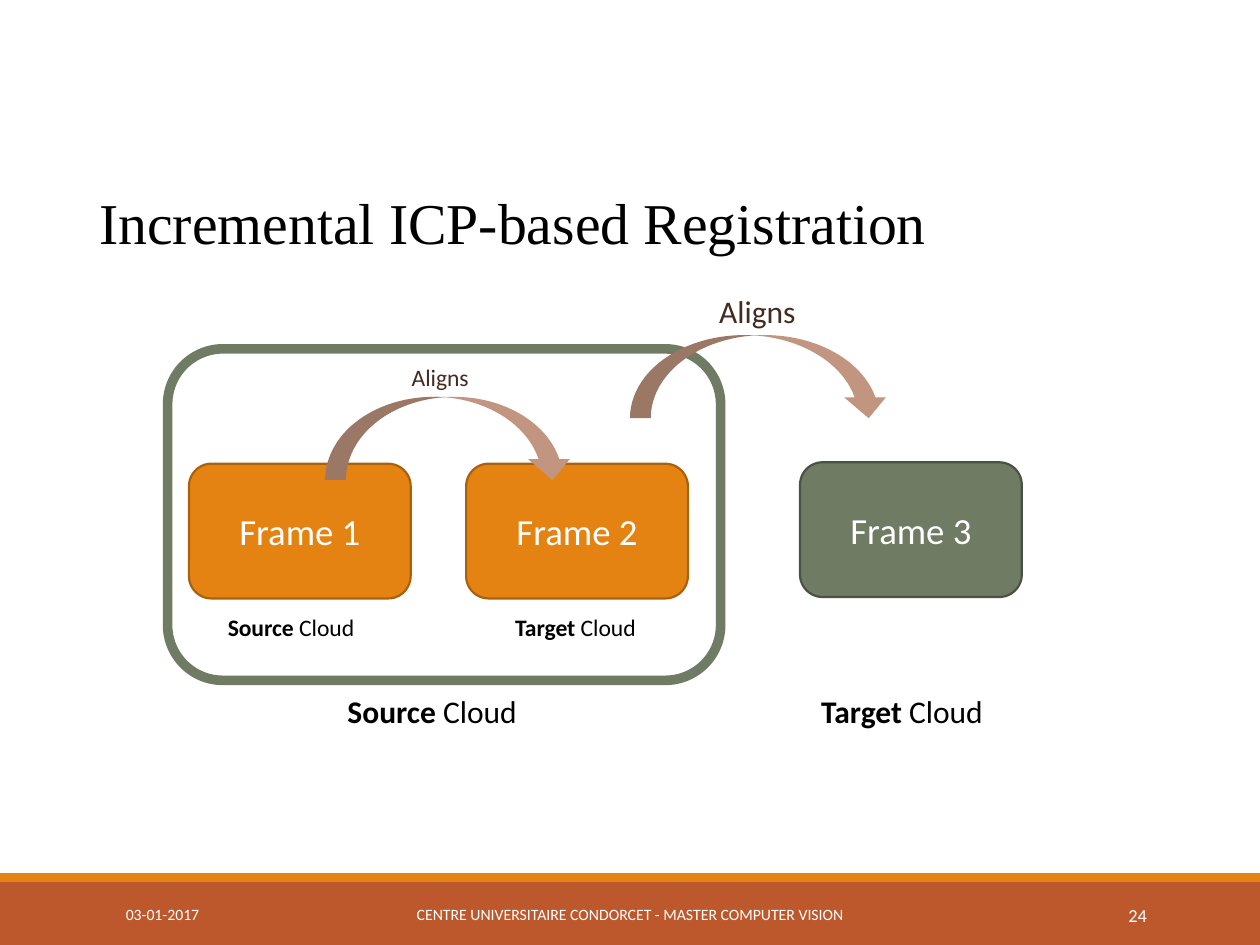
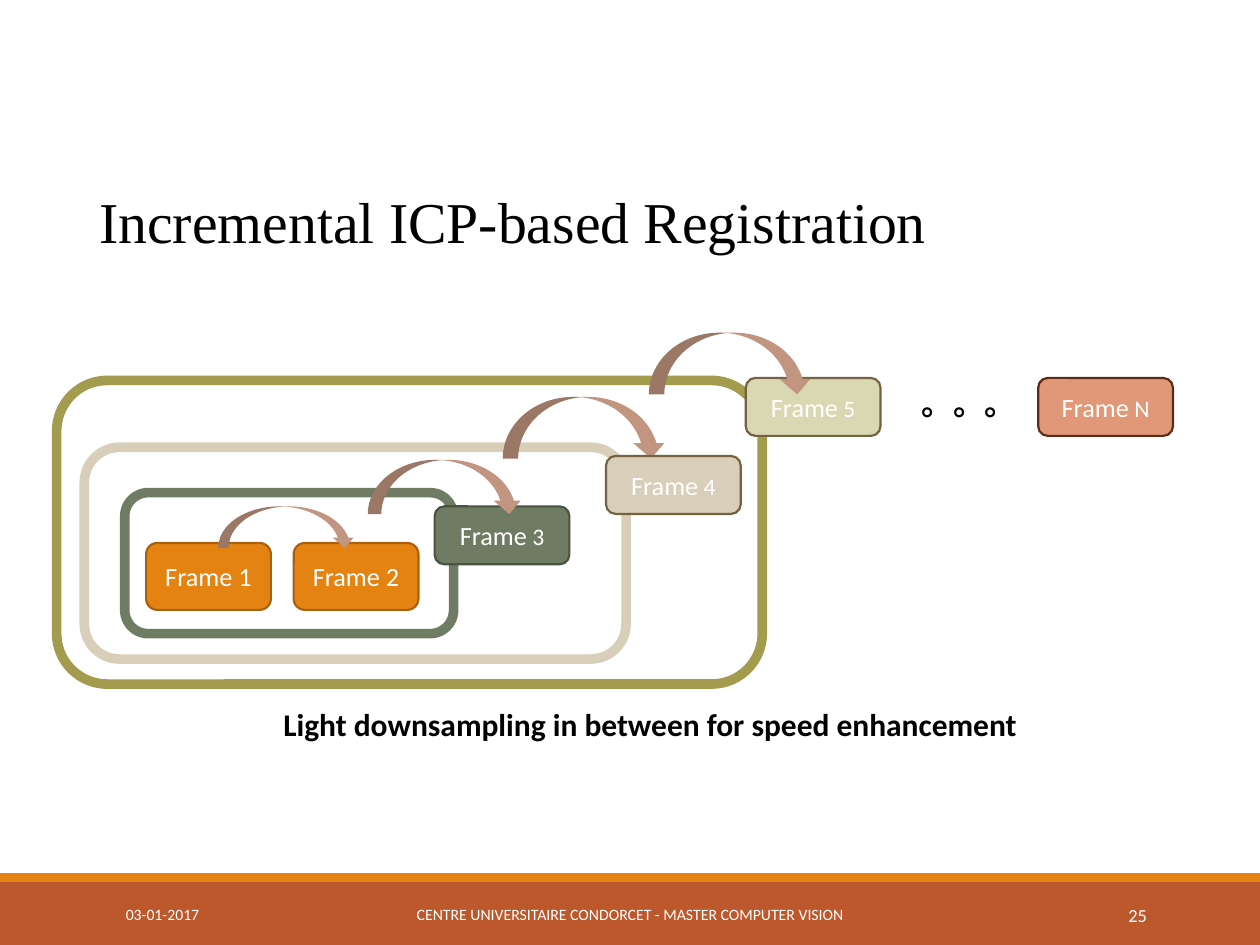
from pptx import Presentation
from pptx import util as u
from pptx.dml.color import RGBColor
from pptx.enum import shapes, text

# Content: all boxes are (left, top, width, height) in points
TITLE = "Incremental ICP-based Registration"
DATE = "03-01-2017"
VENUE = "CENTRE UNIVERSITAIRE CONDORCET - MASTER COMPUTER VISION"

BIG, SMALL, STEP = (126.7, 77), (71.3, 38.2), (77, 33.1)  # frame sizes

# Parts run from back to front:
# ("frame", size, (left, top), colours, [(words, size name), ...])
# ("ring", box, colour)   ("arrow", box)
# ("label", box, size name, colour, [(words, bold), ...])
SLIDES = [
    {
        "number": 24,
        "title_top": 90,
        "parts": [
            ("frame", BIG, (108, 265), "orange", [("Frame 1", "frame")]),
            ("ring", (95.8, 199.4, 316, 189.4), "green"),
            ("label", (123.1, 347, 97.9, 23.8), "note", "ink",
             [("Source", True), (" Cloud", False)]),
            ("label", (287.3, 347, 97.9, 23.8), "note", "ink",
             [("Target", True), (" Cloud", False)]),
            ("frame", BIG, (457.2, 264.2), "green", [("Frame 3", "frame")]),
            ("label", (191.5, 391.7, 129.6, 28.8), "caption", "ink",
             [("Source", True), (" Cloud", False)]),
            ("label", (462.2, 391.7, 135.4, 28.8), "caption", "ink",
             [("Target", True), (" Cloud", False)]),
            ("frame", BIG, (266.4, 265), "orange", [("Frame 2", "frame")]),
            ("arrow", (185.8, 226.8, 141.8, 47.5)),
            ("arrow", (360, 191.5, 148.3, 47.5)),
            ("label", (228.2, 203.8, 97.9, 23.8), "note", "brown",
             [("Aligns", False)]),
            ("label", (403.9, 163.4, 97.9, 28.8), "caption", "brown",
             [("Aligns", False)]),
        ],
    },
    {
        "number": 25,
        "title_top": 89.3,
        "parts": [
            ("frame", SMALL, (83.5, 310.3), "orange", [("Frame 1", "step")]),
            ("ring", (71.3, 281.5, 187.9, 80.6), "green"),
            ("frame", STEP, (248.4, 289.4), "green",
             [("Frame", "step"), (" 3", "note")]),
            ("label", (519.8, 216, 64, 28.8), "caption", "ink",
             [("。。。", True)]),
            ("frame", SMALL, (167.8, 310.3), "orange", [("Frame 2", "step")]),
            ("arrow", (124.6, 289.4, 78.5, 23.8)),
            ("arrow", (210.2, 262.8, 88.6, 31)),
            ("ring", (48.2, 255.6, 309.6, 121), "sand"),
            ("arrow", (287.3, 226.8, 93.6, 35.3)),
            ("frame", STEP, (346.3, 260.6), "sand",
             [("Frame", "step"), (" 4", "note")]),
            ("ring", (32.4, 217.4, 403.2, 173.5), "olive"),
            ("frame", STEP, (426.2, 216), "lime",
             [("Frame", "step"), (" 5", "note")]),
            ("arrow", (370.8, 190.1, 93.6, 35.3)),
            ("frame", STEP, (593.3, 216), "salmon",
             [("Frame", "step"), (" N", "note")]),
            ("label", (154.8, 399.6, 454.3, 28.8), "caption", "ink",
             [("Light downsampling in between for speed enhancement", True)]),
        ],
    },
]

THEME = {
    "fonts": {"title": "Times New Roman", "body": "Calibri"},
    "sizes": {"title": 33, "frame": 21, "caption": 18, "step": 15,
              "note": 13.5, "page": 10.5, "footer": 9},
    "colours": {"ink": "000000", "white": "FFFFFF", "brown": "432B20",
                "rust": "BD582C", "orange": "E48312", "green": "6F7B63",
                "sand": "D8CEBA", "olive": "A39B4E", "lime": "DAD7B3",
                "salmon": "E09878", "arrow": "C29580"},
    "edges": {"orange": "A9610D", "green": "4A5242", "sand": "746241",
              "lime": "746241", "salmon": "5E2C16"},
    "lines": {"frame": 1.25, "ring": 5.5},
}

MIDDLE = text.MSO_ANCHOR.MIDDLE
LEFT, CENTER, RIGHT = (text.PP_ALIGN.LEFT, text.PP_ALIGN.CENTER,
                       text.PP_ALIGN.RIGHT)


def apply(target, values):
    for name, value in values.items():
        setattr(target, name, value)


def colour(name):
    return RGBColor.from_string(THEME["colours"][name])


def points(box):
    return [u.Pt(length) for length in box]


def write(frame, runs, ink, align=LEFT, face="body", **frame_format):
    """Fill a text frame with runs of (words, size name, bold)."""
    apply(frame, {"word_wrap": True, **frame_format})
    paragraph = frame.paragraphs[0]
    paragraph.alignment = align
    for words, size, bold in runs:
        run = paragraph.add_run()
        run.text = words
        apply(run.font, {"name": THEME["fonts"][face], "bold": bold,
                         "size": u.Pt(THEME["sizes"][size])})
        run.font.color.rgb = colour(ink)
    return paragraph


def add_words(slide, box, runs, ink, **options):
    frame = slide.shapes.add_textbox(*points(box)).text_frame
    return write(frame, runs, ink, **options)


def add_outline(slide, preset, box, fill=None, edge=None, width=0):
    """Draw a preset shape; edge is an RRGGBB value."""
    part = slide.shapes.add_shape(preset, *points(box))
    part.shadow.inherit = False
    if fill:
        part.fill.solid()
        part.fill.fore_color.rgb = colour(fill)
    else:
        part.fill.background()
    if edge:
        part.line.color.rgb = RGBColor.from_string(edge)
        part.line.width = u.Pt(width)
    else:
        part.line.fill.background()
    return part


# Diagram parts
def add_frame(slide, size, corner, fill, runs):
    part = add_outline(slide, shapes.MSO_SHAPE.ROUNDED_RECTANGLE,
                       corner + size, fill, THEME["edges"][fill],
                       THEME["lines"]["frame"])
    write(part.text_frame, [run + (False,) for run in runs], "white",
          align=CENTER, vertical_anchor=MIDDLE)


def add_ring(slide, box, edge):
    add_outline(slide, shapes.MSO_SHAPE.ROUNDED_RECTANGLE, box,
                edge=THEME["colours"][edge], width=THEME["lines"]["ring"])


def add_arrow(slide, box):
    add_outline(slide, shapes.MSO_SHAPE.CURVED_DOWN_ARROW, box, "arrow")


def add_label(slide, box, size, ink, runs):
    add_words(slide, box, [(words, size, bold) for words, bold in runs], ink,
              auto_size=text.MSO_AUTO_SIZE.SHAPE_TO_FIT_TEXT)


DRAW = {"frame": add_frame, "ring": add_ring, "arrow": add_arrow,
        "label": add_label}


# Bands, title and footer shared by the slides
def add_common(slide, number, title_top):
    for top, height, fill in ((504, 36, "rust"), (499, 5, "orange")):
        add_outline(slide, shapes.MSO_SHAPE.RECTANGLE,
                    (0, top, 720, height), fill)
    heading = add_words(slide, (49.7, title_top, 620.6, 78.5),
                        [(TITLE, "title", False)], "ink", face="title",
                        vertical_anchor=MIDDLE)
    heading.line_spacing = 0.9
    for words, size, left, width, align in (
            (DATE, "footer", 64.8, 146.2, LEFT),
            (str(number), "page", 584.6, 77.8, RIGHT),
            (VENUE, "footer", 217.4, 285.1, CENTER)):
        add_words(slide, (left, 508.3, width, 28.8), [(words, size, False)],
                  "white", align=align, vertical_anchor=MIDDLE)


def main():
    deck = Presentation()
    apply(deck, {"slide_width": u.Pt(720), "slide_height": u.Pt(540)})
    for content in SLIDES:
        slide = deck.slides.add_slide(deck.slide_layouts[6])
        add_common(slide, content["number"], content["title_top"])
        for kind, *details in content["parts"]:
            DRAW[kind](slide, *details)
    deck.save("out.pptx")


if __name__ == "__main__":
    main()
